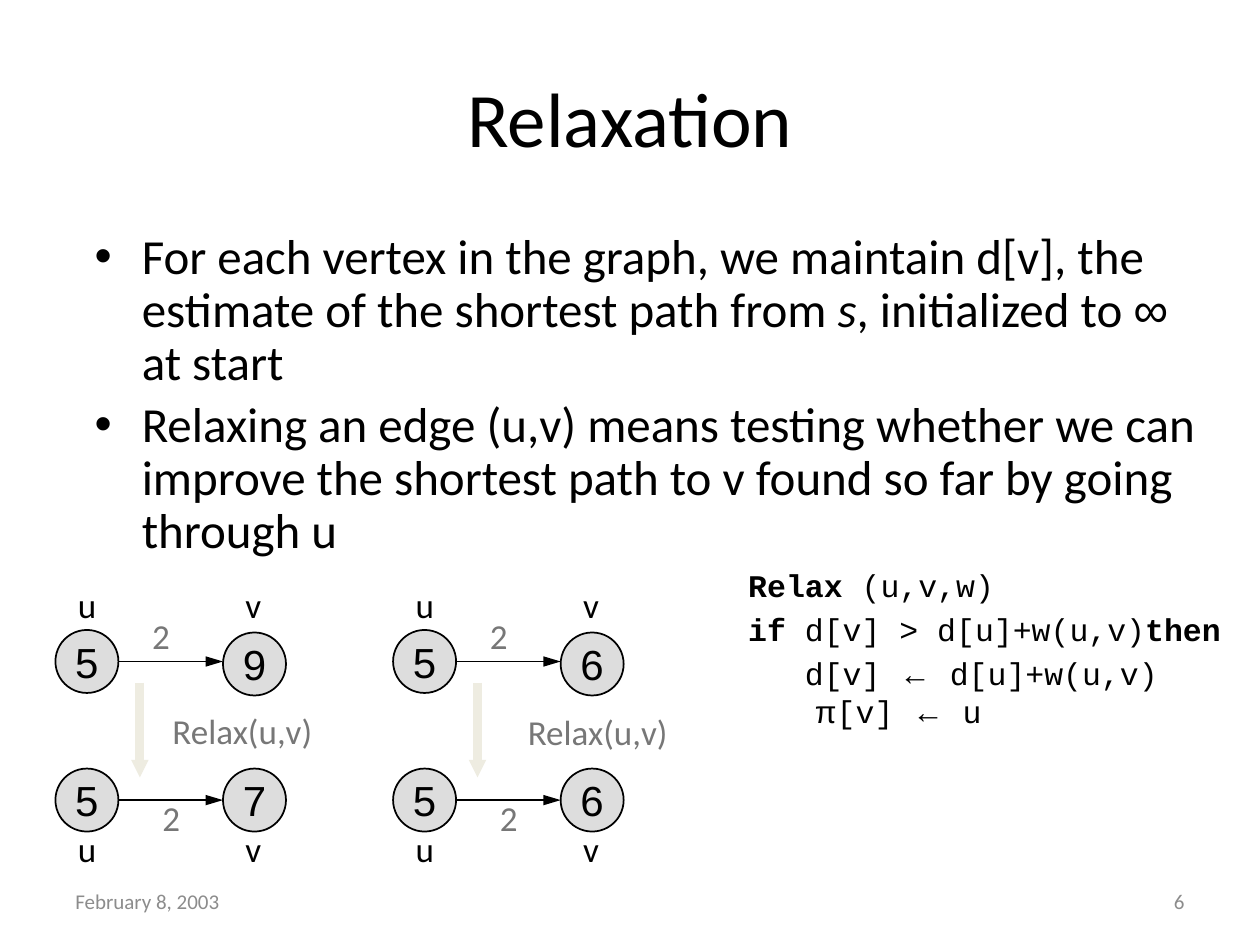
import dataclasses
import lxml.etree
import pptx
import pptx.dml.color
import pptx.enum.shapes
import pptx.enum.text
import pptx.oxml.ns
import pptx.util

PX = 9144  # EMU in one px, 100 px to the inch
BREAK = None  # a line break among the parts of a paragraph
ALIGN = pptx.enum.text.PP_ALIGN
ANCHOR = pptx.enum.text.MSO_ANCHOR
SHAPE = pptx.enum.shapes.MSO_SHAPE


def px(*lengths):
    return [pptx.util.Emu(n * PX) for n in lengths]


def apply(obj, values):
    for name, value in values.items():
        setattr(obj, name, value)


@dataclasses.dataclass(frozen=True)
class Theme:
    ink: str = "000000"
    grey: str = "777777"
    footer: str = "8C8C8C"
    node: str = "DDDDDD"
    step: str = "EEECE1"
    text: str = "Calibri"
    symbol: str = "Arial"
    code: str = "Courier New"
    title_size: int = 44
    body_size: int = 28
    node_size: int = 24
    label_size: int = 20
    code_size: int = 18
    footer_size: int = 12


@dataclasses.dataclass
class Builder:
    s: object
    th: Theme

    def runs(self, p, parts, size, color, font):
        """Each part is plain text, a (text, font values) pair or BREAK."""
        for part in parts:
            if part is BREAK:
                p.add_line_break()
                continue
            text, extra = (part, {}) if isinstance(part, str) else part
            r = p.add_run()
            r.text = text
            apply(r.font, {"size": pptx.util.Pt(size), "name": font, **extra})
            r.font.color.rgb = pptx.dml.color.RGBColor.from_string(color)

    def paragraph(self, tf, i, parts, size, color, font, **values):
        p = tf.paragraphs[0] if i == 0 else tf.add_paragraph()
        apply(p, values)
        self.runs(p, parts, size, color, font)
        return p

    def place(self, sp, box):
        apply(sp, dict(zip(("left", "top", "width", "height"), px(*box))))

    def title(self, box, text):
        sp = self.s.shapes.title
        self.place(sp, box)
        sp.text_frame.vertical_anchor = ANCHOR.MIDDLE
        self.paragraph(sp.text_frame, 0, [text], self.th.title_size, self.th.ink,
                       self.th.text, alignment=ALIGN.CENTER)

    def bullets(self, box, items):
        sp = self.s.placeholders[1]
        self.place(sp, box)
        for i, parts in enumerate(items):
            self.paragraph(sp.text_frame, i, parts, self.th.body_size, self.th.ink,
                           self.th.text, line_spacing=0.9,
                           space_before=pptx.util.Pt(self.th.body_size * 0.2))

    def textbox(self, box):
        tf = self.s.shapes.add_textbox(*px(*box)).text_frame
        tf.word_wrap = True
        return tf

    def label(self, box, text, color):
        self.paragraph(self.textbox(box), 0, [text], self.th.label_size, color, self.th.text)

    def footer(self, box, text, align):
        tf = self.textbox(box)
        tf.vertical_anchor = ANCHOR.MIDDLE
        self.paragraph(tf, 0, [text], self.th.footer_size, self.th.footer,
                       self.th.text, alignment=align)

    def code(self, box, lines):
        """Each line is (left margin, first-line indent, parts)."""
        tf = self.textbox(box)
        for i, (margin, indent, parts) in enumerate(lines):
            p = self.paragraph(tf, i, parts, self.th.code_size, self.th.ink, self.th.code,
                               space_before=pptx.util.Pt(self.th.code_size * 0.2))
            pPr = p._p.get_or_add_pPr()
            pPr.set("marL", str(margin * PX))
            pPr.set("indent", str(indent * PX))

    def node(self, x, y, value):
        sp = self.s.shapes.add_shape(SHAPE.OVAL, *px(x, y, 50, 50))
        sp.shadow.inherit = False
        sp.fill.solid()
        sp.fill.fore_color.rgb = pptx.dml.color.RGBColor.from_string(self.th.node)
        sp.line.color.rgb = pptx.dml.color.RGBColor.from_string(self.th.ink)
        sp.line.width = pptx.util.Pt(1)
        apply(sp.text_frame, {"word_wrap": False, "vertical_anchor": ANCHOR.MIDDLE})
        self.paragraph(sp.text_frame, 0, [value], self.th.node_size, self.th.ink,
                       self.th.symbol, alignment=ALIGN.CENTER)

    def arrow(self, x1, y1, x2, y2, color, width, head):
        line = self.s.shapes.add_connector(
            pptx.enum.shapes.MSO_CONNECTOR.STRAIGHT, *px(x1, y1, x2, y2))
        line.line.color.rgb = pptx.dml.color.RGBColor.from_string(color)
        line.line.width = pptx.util.Pt(width)
        qn = pptx.oxml.ns.qn
        lxml.etree.SubElement(line.line._get_or_add_ln(), qn("a:tailEnd"),
                              type="triangle", w=head[0], len=head[1])
        lxml.etree.SubElement(line._element.spPr, qn("a:effectLst"))

    def relaxation(self, x, before, after, caption_box):
        """An edge (u,v) before and after relaxing; x is the left edge of u."""
        th = self.th
        v = x + 133
        for y, v_drop, name_y, weight_box, values in (
            (500, 2, 458, (x + 67, 483, 50, 43), before),
            (610, 0, 652, (x + 75, 627, 33, 43), after),
        ):
            self.arrow(x + 50, y + 25, v, y + 25, th.ink, 1, ("med", "lg"))
            self.node(x, y, values[0])
            self.node(v, y + v_drop, values[1])
            for left, name in ((x, "u"), (v, "v")):
                self.label((left + 8, name_y, 33, 43), name, th.ink)
            self.label(weight_box, "2", th.grey)
        self.arrow(x + 67, 542, x + 67, 617, th.step, 5, ("sm", "sm"))
        self.label(caption_box, "Relax(u,v)", th.grey)


def main():
    prs = pptx.Presentation()
    prs.slide_width, prs.slide_height = px(1000, 750)
    th = Theme()
    b = Builder(prs.slides.add_slide(prs.slide_layouts[1]), th)
    symbol, bold = {"name": th.symbol}, {"bold": True}

    # Footer
    b.footer((50, 695, 233, 40), "February 8, 2003", ALIGN.LEFT)
    b.footer((717, 695, 233, 40), "6", ALIGN.RIGHT)

    # Title and bullets
    b.title((50, 30, 900, 125), "Relaxation")
    b.bullets((65, 179, 914, 291), [
        ["For each vertex in the graph, we maintain d[v], the estimate of the "
         "shortest path from ", ("s", {"italic": True}), ", initialized to ",
         ("∞ ", symbol), "at start"],
        ["Relaxing an edge (u,v) means testing whether we can improve the "
         "shortest path to v found so far by going through u"],
    ])

    # Two examples: v improves, v stays
    b.relaxation(44, "59", "57", (127, 558, 175, 43))
    b.relaxation(312, "56", "56", (409, 559, 175, 43))

    # Pseudocode
    b.code((584, 444, 416, 160), [
        (38, -38, [("Relax ", bold), "(u,v,w)"]),
        (38, -38, [("if ", bold), "d[v] > d[u]+w(u,v)", ("then", bold)]),
        (53, -8, ["d[v] ", ("←", symbol), " d[u]+w(u,v)", BREAK,
                  ("π", symbol), "[v] ", ("←", symbol), " u"]),
    ])

    prs.save("out.pptx")


if __name__ == "__main__":
    main()
